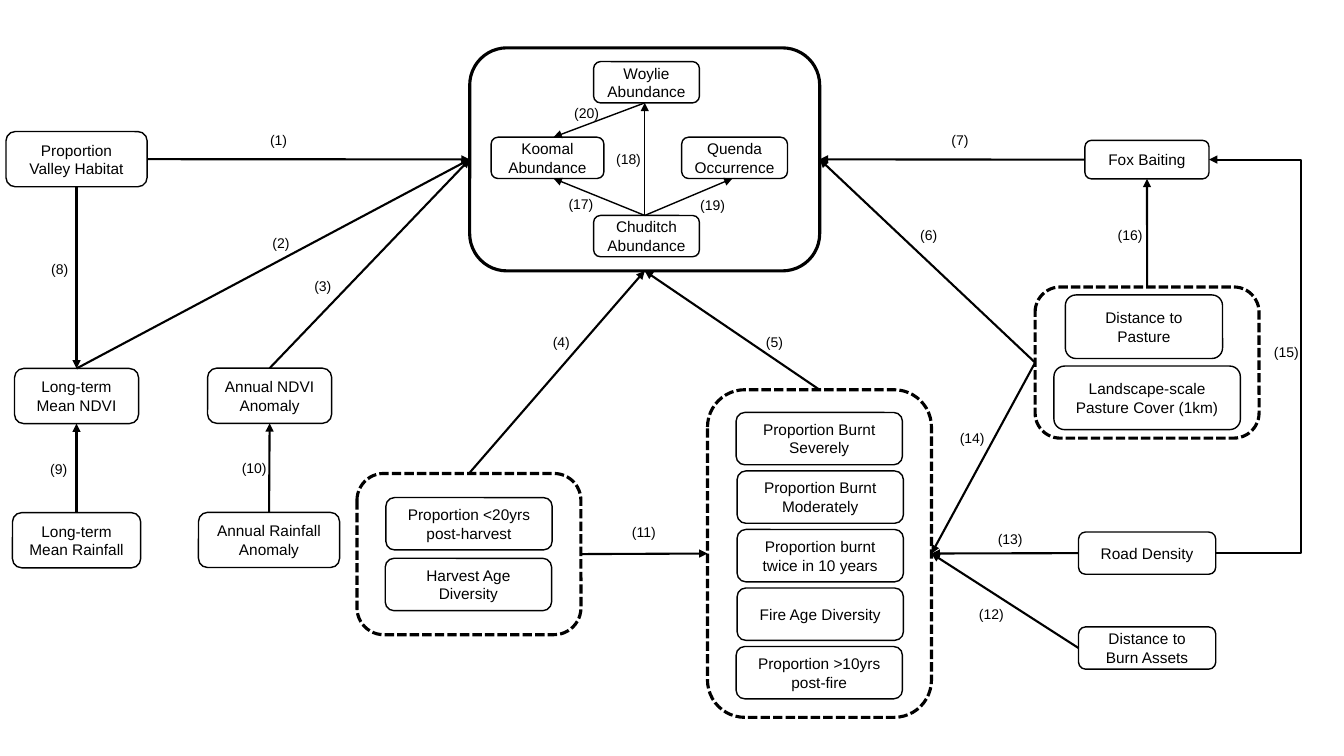
from pptx import Presentation
from pptx.dml.color import RGBColor
from pptx.enum.dml import MSO_LINE_DASH_STYLE as DASH
from pptx.enum.shapes import MSO_CONNECTOR as CONN, MSO_SHAPE as SHAPE
from pptx.enum.text import PP_ALIGN as ALIGN
from pptx.oxml.ns import qn
from pptx.util import Pt
from lxml import etree

TOP, LEFT, BOTTOM, RIGHT = range(4)


def color(hex_text):
    return RGBColor.from_string(hex_text)


def add_run(tf, text, size, align):
    p = tf.paragraphs[0]
    p.alignment = align
    r = p.add_run()
    r.text = text
    r.font.name = "Arial"
    r.font.size = Pt(size)
    r.font.color.rgb = color("000000")


prs = Presentation()
prs.slide_width, prs.slide_height = Pt(960), Pt(540)
s = prs.slides.add_slide(prs.slide_layouts[6])

frames = [
    ("Mammals", 335.5, 34.2, 250, 159.3, DASH.SOLID),
    ("Fire", 505.4, 278.4, 160, 234, DASH.SQUARE_DOT),
    ("Harvest", 255, 338.2, 160, 115.2, DASH.SQUARE_DOT),
    ("Pasture", 739.4, 205, 160, 108, DASH.SQUARE_DOT),
]
boxes = [
    ("Woylie Abundance", 424, 44, 75.6, 29.5),
    ("Quenda Occurrence", 486.9, 98, 75.6, 29.5),
    ("Chuditch Abundance", 424, 153.9, 75.6, 29.5),
    ("Koomal Abundance", 350.8, 98, 80.6, 29.5),
    ("Proportion <20yrs post-harvest", 275.6, 355.4, 118.8, 37.4),
    ("Harvest Age Diversity", 275.2, 398.8, 118.8, 37.4),
    ("Fox Baiting", 775, 100.3, 88.6, 27.5),
    ("Annual Rainfall Anomaly", 141.8, 366, 100.8, 39.4),
    ("Annual NDVI Anomaly", 148.3, 263, 88.6, 39.4),
    ("Long-term Mean Rainfall", 8.9, 366.2, 91.6, 39.4),
    ("Long-term Mean NDVI", 10.4, 263.2, 88.6, 39.4),
    ("Road Density", 770.4, 380, 98, 30.2),
    ("Distance to Burn Assets", 770.4, 447.8, 98, 30.2),
    ("Distance to Pasture", 761, 210.7, 112.3, 45.4),
    ("Landscape-scale Pasture Cover (1km)", 752.8, 261.5, 133.2, 45.4),
    ("Proportion Valley Habitat", 4.3, 94, 100.8, 39.4),
]
fire_measures = [
    ("Proportion Burnt Severely", 525.8), ("Proportion Burnt Moderately", 526.5),
    ("Proportion burnt twice in 10 years", 526.5), ("Fire Age Diversity", 526.5),
    ("Proportion >10yrs post-fire", 525.8),
]
for i, (text, x) in enumerate(fire_measures):
    boxes.append((text, x, 294.6 + 41.8 * i, 118.8, 37.4))

nodes = {}
for name, x, y, w, h, dash in frames:
    sp = s.shapes.add_shape(SHAPE.ROUNDED_RECTANGLE, Pt(x), Pt(y), Pt(w), Pt(h))
    sp.shadow.inherit = False
    sp.fill.background()
    sp.line.color.rgb = color("000000")
    sp.line.width = Pt(2.25)
    sp.line.dash_style = dash
    nodes[name] = sp

for text, x, y, w, h in boxes:
    sp = s.shapes.add_shape(SHAPE.ROUNDED_RECTANGLE, Pt(x), Pt(y), Pt(w), Pt(h))
    sp.shadow.inherit = False
    sp.fill.solid()
    sp.fill.fore_color.rgb = color("FFFFFF")
    sp.line.color.rgb = color("000000")
    sp.line.width = Pt(1)
    add_run(sp.text_frame, text, 11, ALIGN.CENTER)
    nodes[text] = sp

links = [
    ("Proportion Valley Habitat", RIGHT, "Mammals", LEFT),
    ("Long-term Mean NDVI", TOP, "Mammals", LEFT),
    ("Annual NDVI Anomaly", TOP, "Mammals", LEFT),
    ("Harvest", TOP, "Mammals", BOTTOM),
    ("Fire", TOP, "Mammals", BOTTOM),
    ("Pasture", LEFT, "Mammals", RIGHT),
    ("Fox Baiting", LEFT, "Mammals", RIGHT),
    ("Proportion Valley Habitat", BOTTOM, "Long-term Mean NDVI", TOP),
    ("Long-term Mean Rainfall", TOP, "Long-term Mean NDVI", BOTTOM),
    ("Annual Rainfall Anomaly", TOP, "Annual NDVI Anomaly", BOTTOM),
    ("Harvest", RIGHT, "Fire", LEFT),
    ("Distance to Burn Assets", LEFT, "Fire", RIGHT),
    ("Road Density", LEFT, "Fire", RIGHT),
    ("Pasture", LEFT, "Fire", RIGHT),
    ("Road Density", RIGHT, "Fox Baiting", RIGHT),
    ("Pasture", TOP, "Fox Baiting", BOTTOM),
]
species_arrows = [
    (460.6, 153.9, 395.4, 127.5),
    (460.6, 153.9, 460.6, 73.5),
    (460.6, 153.9, 523.2, 127.5),
    (460.6, 73.5, 395.4, 98),
]
arrows = []
for start, start_side, end, end_side in links:
    elbow = start_side == end_side
    cx = s.shapes.add_connector(CONN.ELBOW if elbow else CONN.STRAIGHT, 0, 0, 0, 0)
    cx.begin_connect(nodes[start], start_side)
    cx.end_connect(nodes[end], end_side)
    if elbow:
        bend = round((cx.begin_x - Pt(929.5)) / cx.width * 100000)
        guides = cx._element.spPr.find(qn("a:prstGeom")).find(qn("a:avLst"))
        etree.SubElement(guides, qn("a:gd"), name="adj1", fmla=f"val {bend}")
    arrows.append((cx, 1.5))
for ends in species_arrows:
    cx = s.shapes.add_connector(CONN.STRAIGHT, *[Pt(v) for v in ends])
    arrows.append((cx, 1))

for cx, width in arrows:
    cx.line.color.rgb = color("000000")
    cx.line.width = Pt(width)
    sp_pr = cx._element.spPr
    etree.SubElement(sp_pr.find(qn("a:ln")), qn("a:tailEnd"), type="triangle")
    etree.SubElement(sp_pr, qn("a:effectLst"))

label_spots = [
    (185.8, 90.7), (187.5, 164.2), (217.4, 194.8), (387.8, 234.7), (540, 234.7),
    (650.2, 158.4), (672.5, 90.7), (29.5, 182.2), (28.8, 325.4), (165.6, 324.7),
    (444.3, 370.6), (692.2, 429.1), (705.6, 375.1), (678.5, 303.1), (902.9, 241.9),
    (791.3, 158.4), (399, 136.1), (433, 103.7), (493, 136.8), (403, 70.9),
]
for number, (x, y) in enumerate(label_spots, 1):
    width = 30.2 if number < 10 else 36.7
    tf = s.shapes.add_textbox(Pt(x), Pt(y), Pt(width), Pt(19.4)).text_frame
    tf.word_wrap = True
    add_run(tf, f"({number})", 10, ALIGN.LEFT)

prs.save("out.pptx")
